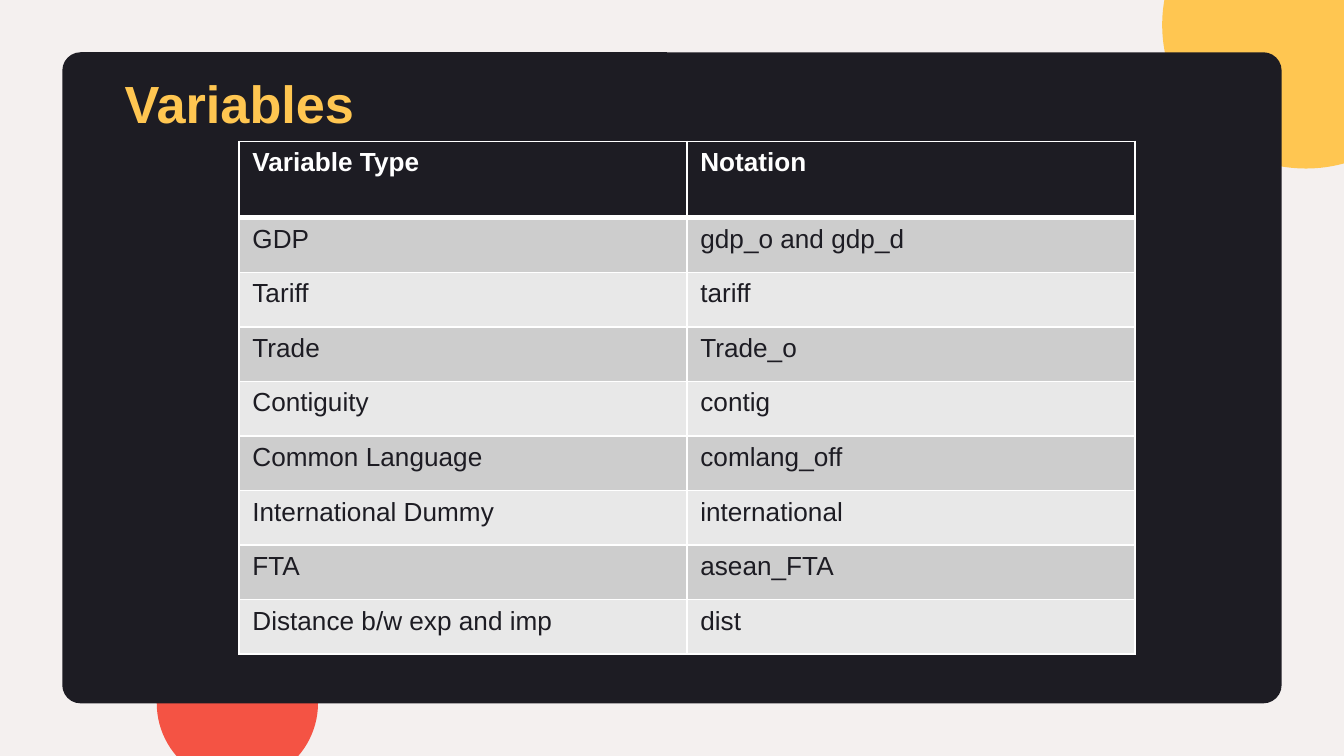
"""Build a slide that lists model variables and their notation in a table."""
from lxml import etree
from pptx import Presentation
from pptx.dml.color import RGBColor
from pptx.enum import shapes, text
from pptx.oxml import ns
from pptx.util import Pt

DARK, YELLOW, RED, WHITE = "1D1C23", "FFC651", "F45344", "FFFFFF"
BANDS = ["CDCDCD", "E8E8E8"]
ROWS = [
    ("Variable Type", "Notation"),
    ("GDP", "gdp_o and gdp_d"),
    ("Tariff", "tariff"),
    ("Trade", "Trade_o"),
    ("Contiguity", "contig"),
    ("Common Language", "comlang_off"),
    ("International Dummy", "international"),
    ("FTA", "asean_FTA"),
    ("Distance b/w exp and imp", "dist"),
]


def paint(fill, color):
    fill.solid()
    fill.fore_color.rgb = RGBColor.from_string(color)


def add_borders(cell, widths):
    tcPr = cell._tc.get_or_add_tcPr()
    for i, (side, width) in enumerate(widths.items()):
        ln = etree.Element(ns.qn(f"a:ln{side}"), w=str(Pt(width)))
        fill = etree.SubElement(ln, ns.qn("a:solidFill"))
        etree.SubElement(fill, ns.qn("a:srgbClr"), val=WHITE)
        tcPr.insert(i, ln)


prs = Presentation()
prs.slide_width, prs.slide_height = Pt(720), Pt(405)
s = prs.slides.add_slide(prs.slide_layouts[5])
paint(s.background.fill, "F4F0EF")

OVAL, ROUNDED = shapes.MSO_SHAPE.OVAL, shapes.MSO_SHAPE.ROUNDED_RECTANGLE
for kind, x, y, w, h, color in [
    (OVAL, 84, 333.5, 86.4, 86.4, RED),
    (OVAL, 622.6, -63.7, 154, 154, YELLOW),
    (ROUNDED, 33.4, 28, 653.2, 348.8, DARK),
]:
    sp = s.shapes.add_shape(kind, Pt(x), Pt(y), Pt(w), Pt(h))
    sp.shadow.inherit = False
    paint(sp.fill, color)
    sp.line.fill.background()
    if kind == ROUNDED:
        sp.adjustments[0] = 0.028

title = s.shapes.title
title.left, title.top, title.width, title.height = Pt(59.6), Pt(34.6), Pt(160), Pt(41)
title.element.getparent().append(title.element)
tf = title.text_frame
tf.text = "Variables"
tf.auto_size = text.MSO_AUTO_SIZE.NONE
tf.vertical_anchor = text.MSO_ANCHOR.MIDDLE
p = tf.paragraphs[0]
p.alignment = text.PP_ALIGN.LEFT
p.font.name, p.font.size, p.font.bold = "Arial", Pt(28), True
p.font.color.rgb = RGBColor.from_string(YELLOW)

table = s.shapes.add_table(len(ROWS), 2, Pt(128), Pt(75.7), Pt(480), Pt(275)).table
for col in table.columns:
    col.width = Pt(240)
for i, values in enumerate(ROWS):
    header = i == 0
    table.rows[i].height = Pt(41 if header else 29.25)
    for j, value in enumerate(values):
        cell = table.cell(i, j)
        cell.text = value
        paint(cell.fill, DARK if header else BANDS[(i - 1) % 2])
        add_borders(cell, {"L": 1, "R": 1, "T": 3 if i == 1 else 1, "B": 3 if header else 1})
        p = cell.text_frame.paragraphs[0]
        p.font.name, p.font.size, p.font.bold = "Arial", Pt(14), header
        p.font.color.rgb = RGBColor.from_string(WHITE if header else DARK)

prs.save("out.pptx")
